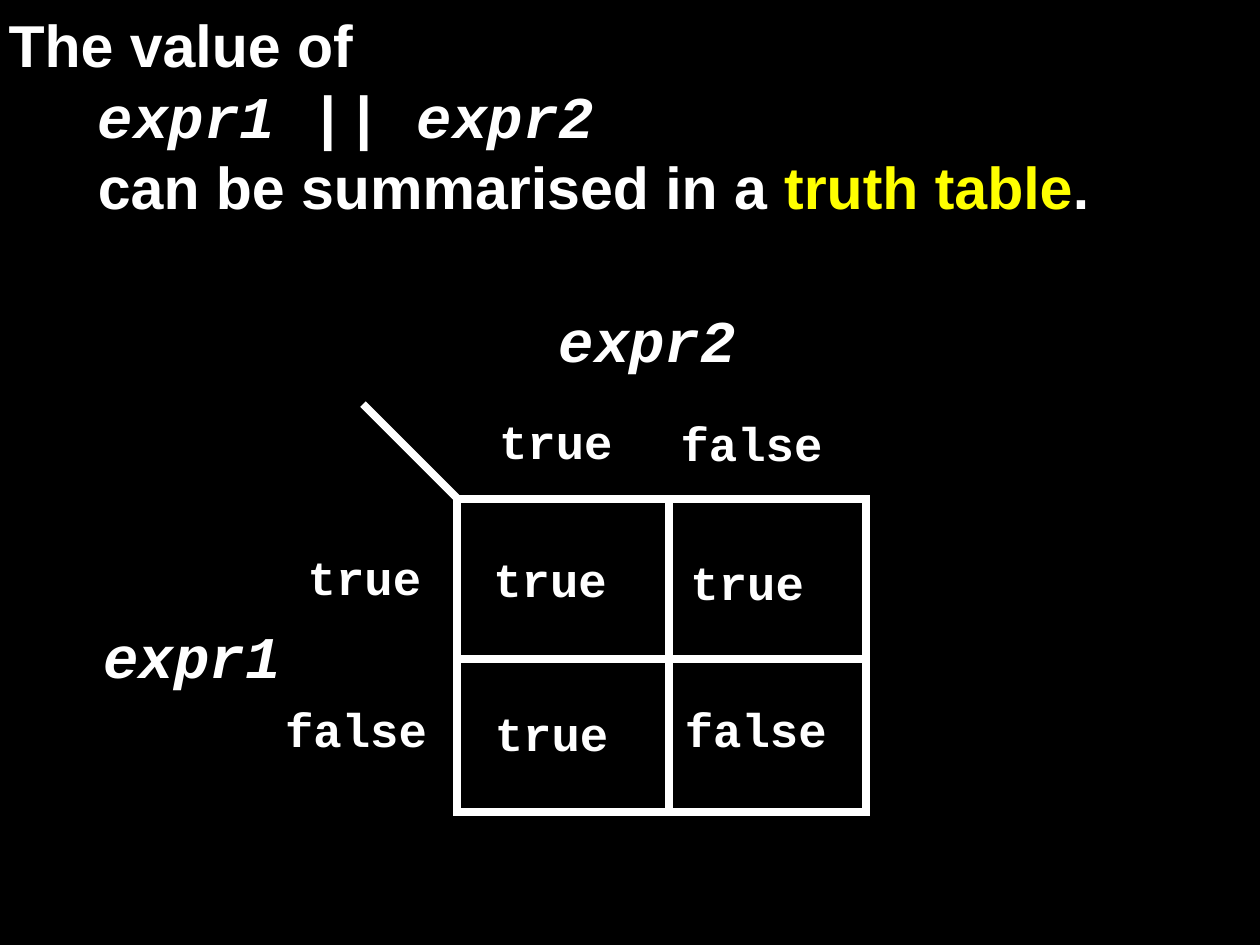
from lxml.etree import SubElement
from pptx import Presentation
from pptx.dml.color import RGBColor
from pptx.enum.shapes import MSO_CONNECTOR as Connector, MSO_SHAPE as Shape
from pptx.oxml.ns import qn
from pptx.util import Inches, Pt

WHITE = RGBColor(255, 255, 255)
YELLOW = RGBColor(255, 255, 0)
BLACK = RGBColor(0, 0, 0)
SANS, MONO = "Arial", "Courier New"

WIDTH_POINTS = 639.8
HEIGHT_POINTS = WIDTH_POINTS * 3 / 4
CODE = {"font": MONO, "italic": True}
INTRO = [
    (0, [("The value of", {})]),
    (0.63, [("expr1", CODE), (" || ", {"font": MONO}), ("expr2", CODE)]),
    (0.63, [("can be summarised in a ", {}), ("truth table", {"color": YELLOW}), (".", {})]),
]
OPERANDS = [("expr1", 0.71, 4.34), ("expr2", 3.92, 2.11)]
TRUTH_TABLE = [
    [("true", 3.5, 2.89), ("false", 4.78, 2.9)],
    [("true", 2.15, 3.85), ("true", 3.46, 3.86), ("true", 4.85, 3.88)],
    [("false", 1.99, 4.92), ("true", 3.47, 4.95), ("false", 4.81, 4.92)],
]
VALUE_WIDTHS = {"true": 1.06, "false": 1.25}

LEFT, TOP, RIGHT, BOTTOM = 3.22, 3.52, 6.11, 5.73
COLUMN_SPLIT, ROW_SPLIT = 4.72, 4.65
CORNER_X, CORNER_Y, DIAGONAL = 3.24, 3.53, 0.68
RULES = [
    (COLUMN_SPLIT, 3.51, COLUMN_SPLIT, 5.71),
    (LEFT, ROW_SPLIT, RIGHT, ROW_SPLIT),
    (CORNER_X, CORNER_Y, CORNER_X - DIAGONAL, CORNER_Y - DIAGONAL),
]


def add_text(page, paragraphs, left, top, width, height, size=30, leading=36):
    box = page.shapes.add_textbox(*map(Inches, (left, top, width, height)))
    frame = box.text_frame
    frame.word_wrap = True
    frame.margin_left = frame.margin_right = Inches(0.02)
    frame.margin_top = frame.margin_bottom = Inches(0.03)
    for index, (indent, spans) in enumerate(paragraphs):
        para = frame.add_paragraph() if index else frame.paragraphs[0]
        para.line_spacing = Pt(leading)
        para._p.get_or_add_pPr().set("marL", str(Inches(indent)))
        for text, style in spans:
            span = para.add_run()
            span.text = text
            span.font.name = style.get("font", SANS)
            span.font.size = Pt(size)
            span.font.bold = True
            span.font.italic = style.get("italic", False)
            span.font.color.rgb = style.get("color", WHITE)


def style_line(line):
    line.color.rgb = WHITE
    line.width = Pt(4)


def draw_grid(page):
    frame = page.shapes.add_shape(
        Shape.RECTANGLE, *map(Inches, (LEFT, TOP, RIGHT - LEFT, BOTTOM - TOP)))
    frame.shadow.inherit = False
    frame.fill.background()
    style_line(frame.line)
    SubElement(frame.line._get_or_add_ln(), qn("a:miter"), lim="800000")
    for ends in RULES:
        rule = page.shapes.add_connector(Connector.STRAIGHT, *map(Inches, ends))
        style_line(rule.line)
        SubElement(rule._element.spPr, qn("a:effectLst"))


def main():
    deck = Presentation()
    deck.slide_width, deck.slide_height = Pt(WIDTH_POINTS), Pt(HEIGHT_POINTS)
    page = deck.slides.add_slide(deck.slide_layouts[6])
    page.background.fill.solid()
    page.background.fill.fore_color.rgb = BLACK

    add_text(page, INTRO, 0.04, 0.03, 8.69, 1.72)
    draw_grid(page)
    for name, left, top in OPERANDS:
        add_text(page, [(0, [(name, CODE)])], left, top, 1.82, 0.72)
    for row in TRUTH_TABLE:
        for value, left, top in row:
            add_text(page, [(0, [(value, {"font": MONO})])],
                     left, top, VALUE_WIDTHS[value], 0.61, size=24, leading=28)
    deck.save("out.pptx")


if __name__ == "__main__":
    main()
